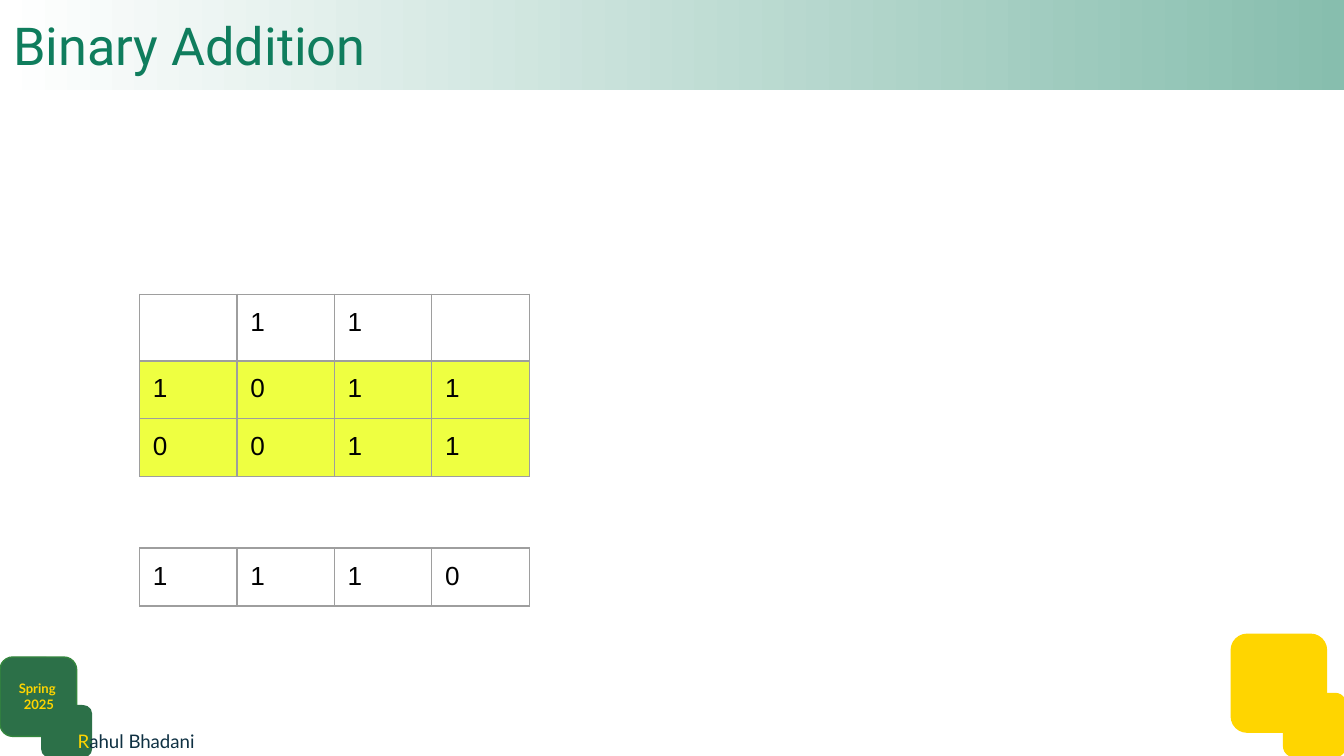
from dataclasses import dataclass

from lxml import etree
from pptx import Presentation
from pptx import util as u
from pptx.dml import color
from pptx.enum import shapes, text
from pptx.oxml import ns

Cm, Pt = u.Cm, u.Pt
GREEN, GOLD, NAVY = "2C7048", "FFD500", "0E3042"
TITLE_GREEN, YELLOW, GREY = "0F7D5D", "EEFF41", "9E9E9E"
INSET = Cm(0.25)


@dataclass
class Tile:
    """A rounded corner decoration, measured in centimetres."""
    left: float
    top: float
    width: float
    height: float
    fill: str
    line: str


@dataclass
class Grid:
    """A table of bits; highlighted rows are filled yellow."""
    top: float
    rows: list[str]
    heights: list[float]
    highlighted: tuple[int, ...] = ()


TILES = [
    Tile(23.27, 11.99, 1.8, 1.85, GOLD, GOLD),
    Tile(24.26, 13.11, 1.17, 1.19, GOLD, GOLD),
    Tile(0, 12.42, 1.45, 1.5, GREEN, "34863E"),
    Tile(0.79, 13.34, 0.94, 0.97, GREEN, GREEN),
]
GRIDS = [
    Grid(5.56, [" 11 ", "1011", "0011"], [1.22, 1.09, 1.09], (1, 2)),
    Grid(10.36, ["1110"], [1.07]),
]
GRID_LEFT, COLUMN_WIDTH = 2.64, 1.84


def rgb(value: str) -> color.RGBColor:
    return color.RGBColor.from_string(value)


def add_run(p, words: str, *, size: float, font: str, fill: str, bold: bool = False) -> None:
    r = p.add_run()
    r.text = words
    r.font.size, r.font.name, r.font.bold = Pt(size), font, bold
    r.font.color.rgb = rgb(fill)


def set_frame(tf, anchor) -> None:
    tf.word_wrap = True
    tf.vertical_anchor = anchor
    tf.margin_left = tf.margin_right = tf.margin_top = tf.margin_bottom = INSET


def add_text_box(s, left: float, top: float, width: float, height: float):
    tf = s.shapes.add_textbox(Cm(left), Cm(top), Cm(width), Cm(height)).text_frame
    set_frame(tf, text.MSO_ANCHOR.TOP)
    return tf


def add_tile(s, tile: Tile) -> None:
    sp = s.shapes.add_shape(
        shapes.MSO_SHAPE.FLOWCHART_ALTERNATE_PROCESS,
        Cm(tile.left), Cm(tile.top), Cm(tile.width), Cm(tile.height))
    sp.shadow.inherit = False
    sp.fill.solid()
    sp.fill.fore_color.rgb = rgb(tile.fill)
    sp.line.color.rgb = rgb(tile.line)
    sp.line.width = Pt(0.75)


def add_title(s, words: str, width: int) -> None:
    sp = s.shapes.add_shape(shapes.MSO_SHAPE.RECTANGLE, 0, 0, width, Cm(1.7))
    sp.shadow.inherit = False
    sp.line.fill.background()
    sp.fill.gradient()
    sp.fill.gradient_angle = 0
    for stop, value in zip(sp.fill.gradient_stops, ("FFFFFF", "87BEAE")):
        stop.color.rgb = rgb(value)
    set_frame(sp.text_frame, text.MSO_ANCHOR.MIDDLE)
    p = sp.text_frame.paragraphs[0]
    p.alignment = text.PP_ALIGN.LEFT
    add_run(p, words, size=28, font="Roboto", fill=TITLE_GREEN)


def add_borders(cell) -> None:
    tc_pr = cell._tc.get_or_add_tcPr()
    for side in ("lnL", "lnR", "lnT", "lnB"):
        ln = etree.SubElement(tc_pr, ns.qn(f"a:{side}"), w=str(Pt(0.75)))
        fill = etree.SubElement(ln, ns.qn("a:solidFill"))
        etree.SubElement(fill, ns.qn("a:srgbClr"), val=GREY)


def add_grid(s, grid: Grid) -> None:
    n_cols = len(grid.rows[0])
    table = s.shapes.add_table(
        len(grid.rows), n_cols, Cm(GRID_LEFT), Cm(grid.top),
        Cm(COLUMN_WIDTH * n_cols), Cm(sum(grid.heights))).table
    table.first_row = table.horz_banding = False
    for column in table.columns:
        column.width = Cm(COLUMN_WIDTH)
    for i, (bits, height) in enumerate(zip(grid.rows, grid.heights)):
        table.rows[i].height = Cm(height)
        for j, bit in enumerate(bits):
            cell = table.cell(i, j)
            cell.margin_left = cell.margin_right = INSET
            cell.margin_top = cell.margin_bottom = INSET
            add_borders(cell)
            if i in grid.highlighted:
                cell.fill.solid()
                cell.fill.fore_color.rgb = rgb(YELLOW)
            else:
                cell.fill.background()
            add_run(cell.text_frame.paragraphs[0], bit.strip(),
                    size=14, font="Arial", fill="000000")


def main() -> None:
    prs = Presentation()
    prs.slide_width, prs.slide_height = Cm(25.4), Cm(14.29)
    s = prs.slides.add_slide(prs.slide_layouts[6])

    for tile in TILES:
        add_tile(s, tile)

    author = add_text_box(s, 1.22, 13.59, 3.15, 0.74).paragraphs[0]
    add_run(author, "R", size=10, font="Lato", fill=GOLD)
    add_run(author, "ahul Bhadani", size=10, font="Lato", fill=NAVY)

    term = add_text_box(s, 0, 12.62, 1.47, 0.74)
    for p, words in zip((term.paragraphs[0], term.add_paragraph()), ("Spring ", "2025")):
        p.alignment = text.PP_ALIGN.CENTER
        add_run(p, words, size=7, font="Lato", fill=GOLD, bold=True)

    add_title(s, "Binary Addition", prs.slide_width)
    for grid in GRIDS:
        add_grid(s, grid)
    prs.save("out.pptx")


if __name__ == "__main__":
    main()
